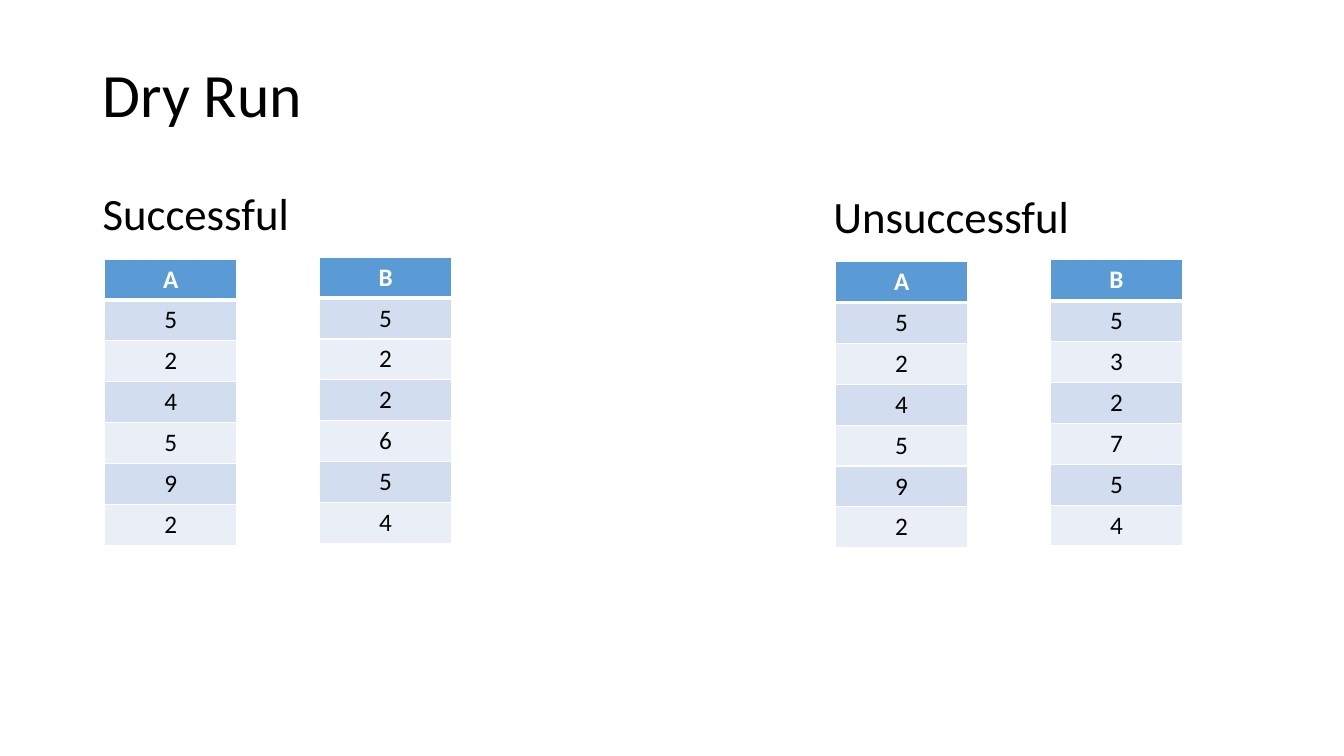
from lxml.etree import SubElement
from pptx import Presentation
from pptx.dml.color import RGBColor
from pptx.enum.text import MSO_ANCHOR as Anchor, PP_ALIGN as Align
from pptx.oxml.ns import qn
from pptx.util import Pt

COLORS = {"text": "000000", "white": "FFFFFF", "header": "5B9BD5",
          "odd": "D2DEEF", "even": "EAEFF7"}
RUNS = [
    ("Successful", 66.2, 127.4, {"A": "524592", "B": "522654"}),
    ("Unsuccessful", 588.2, 129.3, {"A": "524592", "B": "532754"}),
]
COLUMN_WIDTH, ROW_HEIGHT = 94.3, 29.2
TABLE_LEFT, TABLE_TOP = 8.7, 57.6
TABLE_STEP, TABLE_RISE = 153.4, 1.3


def format_font(font, color, **values):
    """Apply the colour and the given font attributes."""
    font.color.rgb = RGBColor.from_string(COLORS[color])
    for name, value in {"name": "Calibri", **values}.items():
        setattr(font, name, value)


def add_text(slide, text, left, top, width, height, size):
    """Add a vertically centred line of text."""
    box = slide.shapes.add_textbox(Pt(left), Pt(top), Pt(width), Pt(height))
    frame_format = {"word_wrap": True, "vertical_anchor": Anchor.MIDDLE}
    for name, value in frame_format.items():
        setattr(box.text_frame, name, value)
    paragraph = box.text_frame.paragraphs[0]
    paragraph.line_spacing = 0.9
    run = paragraph.add_run()
    run.text = text
    format_font(run.font, "text", size=Pt(size))


def add_borders(cell, widths):
    """Draw white cell borders with the given widths by side."""
    properties = cell._tc.get_or_add_tcPr()
    for side, width in widths.items():
        line = SubElement(properties, qn(f"a:ln{side}"), w=str(Pt(width)))
        fill = SubElement(line, qn("a:solidFill"))
        SubElement(fill, qn("a:srgbClr"), val=COLORS["white"])


def fill_cell(cell, text, row):
    """Write and style one cell according to its row."""
    widths = {"L": 1, "R": 1, "T": 3 if row == 1 else 1, "B": 1 if row else 3}
    add_borders(cell, widths)
    cell.fill.solid()
    fill = "header" if row == 0 else "odd" if row % 2 else "even"
    cell.fill.fore_color.rgb = RGBColor.from_string(COLORS[fill])
    paragraph = cell.text_frame.paragraphs[0]
    paragraph.alignment = Align.CENTER
    run = paragraph.add_run()
    run.text = text
    format_font(run.font, "text" if row else "white", size=Pt(18), bold=row == 0)


def add_array(slide, name, digits, left, top):
    """Add a one-column table with a header and one row per digit."""
    values = [name, *digits]
    table = slide.shapes.add_table(len(values), 1, Pt(left), Pt(top), Pt(COLUMN_WIDTH),
                                   Pt(ROW_HEIGHT * len(values))).table
    for row, value in enumerate(values):
        table.rows[row].height = Pt(ROW_HEIGHT)
        fill_cell(table.cell(row, 0), value, row)


def main():
    """Build the dry run slide."""
    presentation = Presentation()
    presentation.slide_width, presentation.slide_height = Pt(960), Pt(540)
    slide = presentation.slides.add_slide(presentation.slide_layouts[6])
    add_text(slide, "Dry Run", 66.2, 17.3, 828, 104.4, 44)
    for heading, left, top, arrays in RUNS:
        add_text(slide, heading, left, top, 256.3, 54, 32)
        for index, (name, digits) in enumerate(arrays.items()):
            add_array(slide, name, digits, left + TABLE_LEFT + index * TABLE_STEP,
                      top + TABLE_TOP - index * TABLE_RISE)
    presentation.save("out.pptx")


main()
